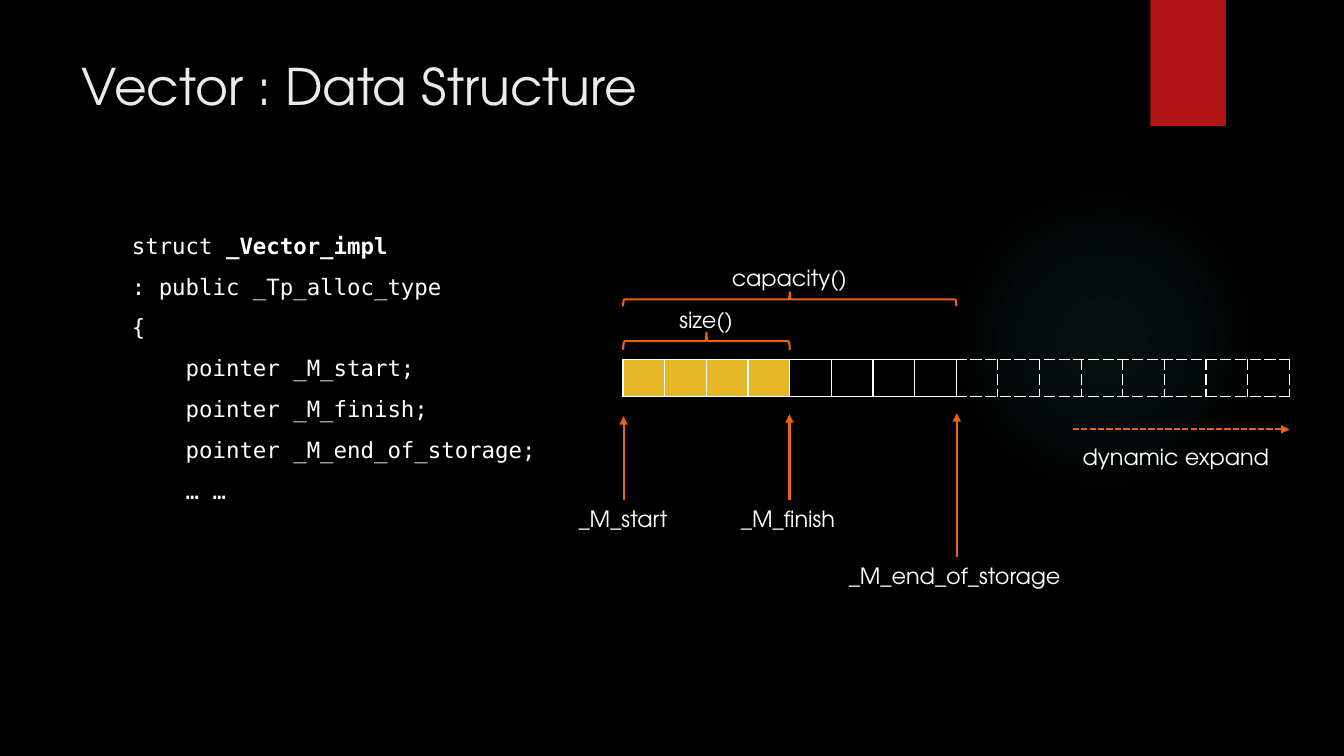
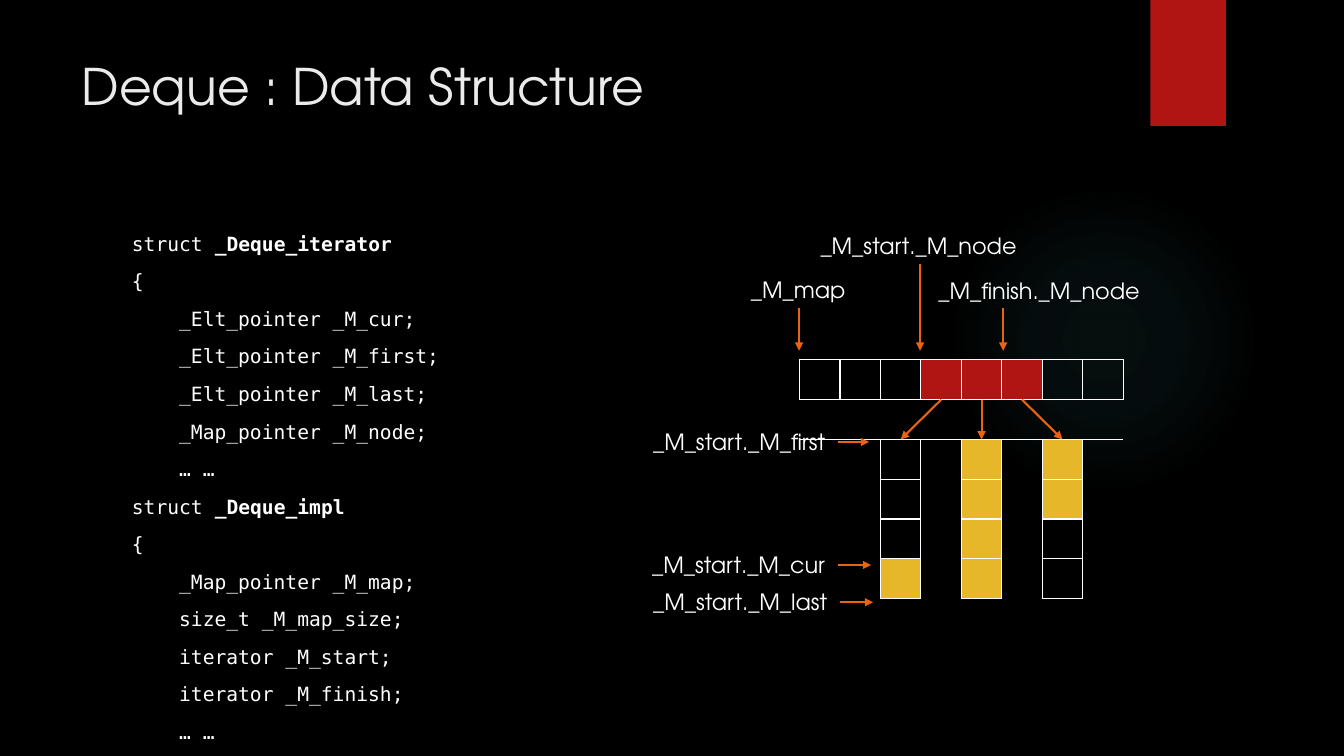
import pptx
import pptx.util
import pptx.dml.color
import pptx.enum.dml
import pptx.enum.shapes
import pptx.enum.text
import pptx.oxml
import pptx.oxml.ns
from dataclasses import dataclass

Inches = pptx.util.Inches
Pt = pptx.util.Pt
qn = pptx.oxml.ns.qn
SHAPES = pptx.enum.shapes.MSO_SHAPE
TOP, RIGHT, BOTTOM = 0, 3, 2


@dataclass(frozen=True)
class Theme:
    background: str = "000000"
    title: str = "EBEBEB"
    text: str = "FFFFFF"
    red: str = "B01513"
    gold: str = "E6B729"
    arrow: str = "EA6312"
    glow: str = "50B9C1"
    font: str = "TeX Gyre Adventor"
    code_font: str = "DejaVu Sans Mono"
    title_size: int = 36
    label_size: int = 16
    code_gap: int = 10
    stroke: float = 1.5


THEME = Theme()
CELL_FILLS = {"R": THEME.red, "G": THEME.gold}

VECTOR_CODE = """struct _Vector_impl
: public _Tp_alloc_type
{
    pointer _M_start;
    pointer _M_finish;
    pointer _M_end_of_storage;
    … …"""

DEQUE_CODE = """struct _Deque_iterator
{
    _Elt_pointer _M_cur;
    _Elt_pointer _M_first;
    _Elt_pointer _M_last;
    _Map_pointer _M_node;
    … …
struct _Deque_impl
{
    _Map_pointer _M_map;
    size_t _M_map_size;
    iterator _M_start;
    iterator _M_finish;
    … …"""

# G gold, R red, o empty, - reserved (dashed), space no cell
VECTOR_CELLS = ["GGGGoooo--------"]
DEQUE_CELLS = ["oooRRRoo",
               "        ",
               "  o G G ",
               "  o G G ",
               "  o G o ",
               "  G G o "]


def rgb(value):
    return pptx.dml.color.RGBColor.from_string(value)


def xml(text):
    return pptx.oxml.parse_xml(text.replace(
        ">", f" {pptx.oxml.ns.nsdecls('a')}>" if "/>" not in text.split(">")[0] + ">"
        else ">", 1))


def child(parent, tag, **attributes):
    """Append an a: element to the parent."""
    node = parent.makeelement(qn(tag), attributes)
    parent.append(node)
    return node


def style_text(paragraph, size, colour, font=THEME.font):
    paragraph.font.size = Pt(size)
    paragraph.font.name = font
    paragraph.font.color.rgb = rgb(colour)


def decorate_layout(layout, slide):
    """Background, glow and red band, shared by every slide."""
    layout.background.fill.solid()
    layout.background.fill.fore_color.rgb = rgb(THEME.background)
    glow = slide.shapes.add_shape(SHAPES.OVAL, Inches(9.41), Inches(1.83),
                                  Inches(3.08), Inches(3.08))
    band = slide.shapes.add_shape(SHAPES.RECTANGLE, Inches(11.41), 0,
                                  Inches(0.75), Inches(1.25))
    for index, part in enumerate((glow, band)):
        part.shadow.inherit = False
        part.line.fill.background()
        layout.shapes.element.insert(2 + index, part.element)
    band.fill.solid()
    band.fill.fore_color.rgb = rgb(THEME.red)

    # Radial fade of the glow
    glow.fill.background()
    plain = glow.element.spPr.find(qn("a:noFill"))
    fade = plain.makeelement(qn("a:gradFill"), {"rotWithShape": "1"})
    stops = child(fade, "a:gsLst")
    for position, alpha in ((0, 7), (36, 6), (69, 0)):
        stop = child(stops, "a:gs", pos=str(position * 1000))
        colour = child(stop, "a:srgbClr", val=THEME.glow)
        child(colour, "a:alpha", val=str(alpha * 1000))
    circle = child(fade, "a:path", path="circle")
    child(circle, "a:fillToRect", l="50000", t="50000", r="50000", b="50000")
    plain.getparent().replace(plain, fade)


def place_title(slide, text):
    title = slide.shapes.title
    title.left, title.top = Inches(0.71), Inches(0.5)
    title.width, title.height = Inches(10.29), Inches(1.53)
    frame = title.text_frame
    frame.text = text
    frame.vertical_anchor = pptx.enum.text.MSO_ANCHOR.TOP
    frame.auto_size = pptx.enum.text.MSO_AUTO_SIZE.NONE
    frame.paragraphs[0].alignment = pptx.enum.text.PP_ALIGN.LEFT
    style_text(frame.paragraphs[0], THEME.title_size, THEME.title)


def place_code(slide, code, size):
    listing = slide.shapes.add_textbox(Inches(1.21), Inches(2.25),
                                       Inches(4.81), Inches(4.59))
    frame = listing.text_frame
    frame.word_wrap = True
    for index, line in enumerate(code.split("\n")):
        paragraph = frame.add_paragraph() if index else frame.paragraphs[0]
        if index:
            paragraph.space_before = Pt(THEME.code_gap)
        style_text(paragraph, size, THEME.text, THEME.code_font)
        keyword, space, name = line.partition("struct ")
        paragraph.add_run().text = keyword + space
        if name:
            struct_name = paragraph.add_run()
            struct_name.text = name
            struct_name.font.bold = True


def place_label(slide, text, left, top, width):
    label = slide.shapes.add_textbox(Inches(left), Inches(top),
                                     Inches(width), Inches(0.37))
    frame = label.text_frame
    frame.word_wrap = False
    frame.auto_size = pptx.enum.text.MSO_AUTO_SIZE.SHAPE_TO_FIT_TEXT
    frame.text = text
    style_text(frame.paragraphs[0], THEME.label_size, THEME.text)
    return label


def place_arrow(slide, start, end, dash=None):
    arrow = slide.shapes.add_connector(
        pptx.enum.shapes.MSO_CONNECTOR.STRAIGHT, *map(Inches, start + end))
    arrow.line.color.rgb = rgb(THEME.arrow)
    arrow.line.width = Pt(THEME.stroke)
    if dash:
        arrow.line.dash_style = dash
    properties = arrow.element.spPr
    child(properties.find(qn("a:ln")), "a:tailEnd", type="triangle")
    child(properties, "a:effectLst")
    return arrow


def place_pointer(slide, text, left, top, width, side, length):
    """A label with an arrow leaving the middle of one of its sides."""
    label = place_label(slide, text, left, top, width)
    middle = left + width / 2
    start, end = {
        TOP: ((middle, top), (middle, top - length)),
        BOTTOM: ((middle, top + 0.37), (middle, top + 0.37 + length)),
        RIGHT: ((left + width, top + 0.185), (left + width + length, top + 0.185)),
    }[side]
    place_arrow(slide, start, end).begin_connect(label, side)


def place_brace(slide, left, top, width, height):
    """A left brace turned to span the given box from above."""
    brace = slide.shapes.add_shape(
        SHAPES.LEFT_BRACE, Inches(left + (width - height) / 2),
        Inches(top + (height - width) / 2), Inches(height), Inches(width))
    brace.rotation = 90
    brace.shadow.inherit = False
    brace.fill.background()
    brace.line.color.rgb = rgb(THEME.arrow)
    brace.line.width = Pt(THEME.stroke)


def edge_style(kinds):
    """Line between two cells: solid wins over dashed, dashed over none."""
    if set(kinds) & set("GRo"):
        return "solid"
    return "dash" if "-" in kinds else None


def place_cells(slide, cells, left, top, width, height):
    rows, columns = len(cells), len(cells[0])
    frame = slide.shapes.add_table(rows, columns, Inches(left), Inches(top),
                                   Inches(width), Inches(height))
    table = frame.table
    table.first_row = table.horz_banding = False
    for style in frame.element.iter(qn("a:tableStyleId")):
        style.text = "{2D5ABB26-0587-4C30-8999-92F81FD0307C}"
    for column in table.columns:
        column.width = Inches(width / columns)
    for row in table.rows:
        row.height = Inches(height / rows)

    def kind_at(row, column):
        inside = 0 <= row < rows and 0 <= column < columns
        return cells[row][column] if inside else " "

    cell_nodes = frame.element.iter(qn("a:tc"))
    for index, (cell, node) in enumerate(zip(table.iter_cells(), cell_nodes)):
        row, column = divmod(index, columns)
        kind = kind_at(row, column)
        cell.margin_left = cell.margin_right = 0
        cell.margin_top = cell.margin_bottom = 0
        # Borders
        for tag, down, across in (("a:lnL", 0, -1), ("a:lnR", 0, 1),
                                  ("a:lnT", -1, 0), ("a:lnB", 1, 0)):
            dash = edge_style((kind, kind_at(row + down, column + across)))
            if dash:
                border = child(node.get_or_add_tcPr(), tag, w=str(Pt(1)))
                paint = child(border, "a:solidFill")
                child(paint, "a:srgbClr", val=THEME.text)
                child(border, "a:prstDash", val=dash)
        # Fill
        if kind in CELL_FILLS:
            cell.fill.solid()
            cell.fill.fore_color.rgb = rgb(CELL_FILLS[kind])
        else:
            cell.fill.background()


def draw_vector(slide, left, top, width):
    cell = width / len(VECTOR_CELLS[0])
    place_cells(slide, VECTOR_CELLS, left, top, width, 0.36)
    # Pointers below the cells
    for text, x, y, label_width, length in (
            ("_M_start", -0.54, 1.39, 1.09, 0.83),
            ("_M_finish", 1.07, 1.39, 1.16, 0.85),
            ("_M_end_of_storage", 2.14, 1.96, 2.34, 1.43)):
        place_pointer(slide, text, left + x, top + y, label_width, TOP, length)
    # Growth direction
    place_arrow(slide, (left + 4.46, top + 0.69), (left + width, top + 0.69),
                pptx.enum.dml.MSO_LINE.SQUARE_DOT)
    place_label(slide, "dynamic expand", left + 4.46, top + 0.78, 2.14)
    # Extents above the cells
    place_brace(slide, left, top - 0.27, 4 * cell, 0.17)
    place_label(slide, "size()", left + 0.46, top - 0.58, 0.74)
    place_brace(slide, left, top - 0.67, 8 * cell, 0.14)
    place_label(slide, "capacity()", left + 0.98, top - 1, 1.36)


def draw_deque(slide, left, top, width, height):
    cell, row = width / len(DEQUE_CELLS[0]), height / len(DEQUE_CELLS)
    place_cells(slide, DEQUE_CELLS, left, top, width, height)
    # Map nodes to their buffers
    for node in range(3):
        place_arrow(slide, (left + (3.5 + node) * cell, top + row),
                    (left + (2.5 + 2 * node) * cell, top + 2 * row))
    # Pointers into the map and into the first buffer
    for text, x, y, label_width, side, length in (
            ("_M_map", -0.58, -0.88, 1.15, BOTTOM, 0.42),
            ("_M_start._M_node", 0.11, -1.32, 2.17, BOTTOM, 0.86),
            ("_M_start._M_first", -1.55, 0.63, 1.93, RIGHT, 0.31),
            ("_M_start._M_cur", -1.56, 1.85, 1.94, RIGHT, 0.33),
            ("_M_start._M_last", -1.55, 2.22, 1.95, RIGHT, 0.33)):
        place_pointer(slide, text, left + x, top + y, label_width, side, length)
    place_label(slide, "_M_finish._M_node", left + 1.28, top - 0.87, 2.23)
    place_arrow(slide, (left + 2.02, top - 0.51), (left + 2.02, top - 0.09))


def main():
    deck = pptx.Presentation()
    deck.slide_width, deck.slide_height = Inches(13.33), Inches(7.5)
    title_only = deck.slide_layouts[5]
    vector, deque = [deck.slides.add_slide(title_only) for _ in range(2)]
    decorate_layout(title_only, vector)

    place_title(vector, "Vector : Data Structure")
    place_code(vector, VECTOR_CODE, 16)
    draw_vector(vector, 6.18, 3.57, 6.61)

    place_title(deque, "Deque : Data Structure")
    place_code(deque, DEQUE_CODE, 14)
    draw_deque(deque, 7.93, 3.57, 3.21, 2.37)
    deck.save("out.pptx")


if __name__ == "__main__":
    main()
